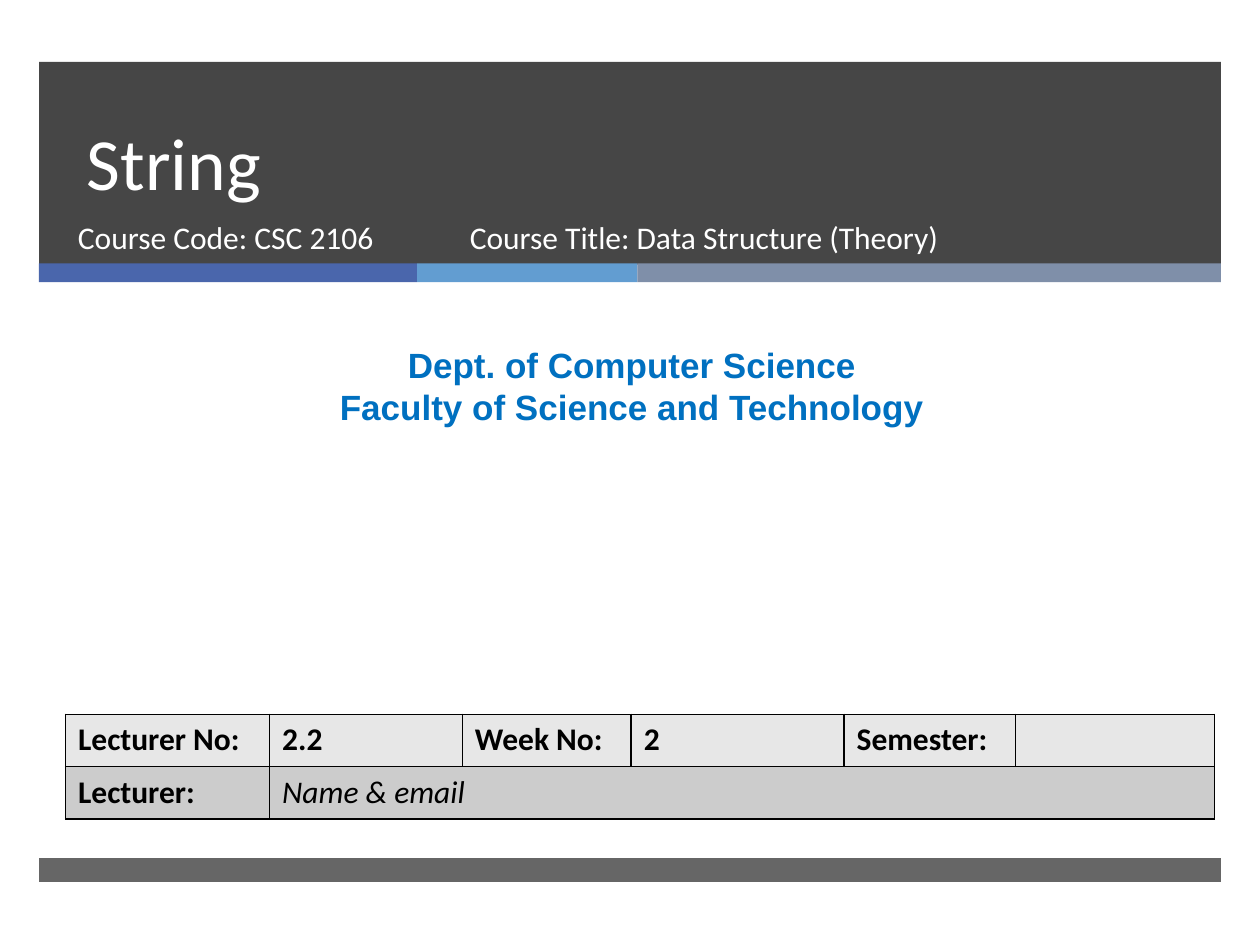
from lxml import etree
from pptx import Presentation
from pptx.dml.color import RGBColor
from pptx.enum.shapes import MSO_SHAPE
from pptx.enum.text import MSO_ANCHOR, PP_ALIGN
from pptx.oxml.ns import qn
from pptx.util import Inches, Pt

RECTANGLE = MSO_SHAPE.RECTANGLE
TOP, BOTTOM = MSO_ANCHOR.TOP, MSO_ANCHOR.BOTTOM
LEFT, CENTER = PP_ALIGN.LEFT, PP_ALIGN.CENTER

WHITE = RGBColor(0xFF, 0xFF, 0xFF)
BLACK = RGBColor(0x00, 0x00, 0x00)
CHARCOAL = RGBColor(0x26, 0x26, 0x26)
INDIGO = RGBColor(0x4A, 0x66, 0xAC)
SKY = RGBColor(0x62, 0x9D, 0xD1)
SLATE = RGBColor(0x7F, 0x8F, 0xA9)
BLUE = RGBColor(0x00, 0x70, 0xC0)
LIGHT_GRAY = RGBColor(0xE7, 0xE7, 0xE7)
MID_GRAY = RGBColor(0xCC, 0xCC, 0xCC)

presentation = Presentation()
presentation.slide_width = Inches(10)
presentation.slide_height = Inches(7.5)
slide = presentation.slides.add_slide(presentation.slide_layouts[6])

# The slide is a grid of 100 columns and 75 rows.
COLUMN = presentation.slide_width // 100
ROW = presentation.slide_height // 75


def grid_box(left, top, width, height):
    """Turn grid columns and rows into slide lengths."""
    return [round(left * COLUMN), round(top * ROW),
            round(width * COLUMN), round(height * ROW)]


def add_styled_run(paragraph, text, font_name, size, color, bold=False, italic=False):
    run = paragraph.add_run()
    run.text = text
    run.font.name = font_name
    run.font.size = Pt(size)
    run.font.color.rgb = color
    run.font.bold = bold
    run.font.italic = italic


# Header band, three accent strips and footer band
BAND_LEFT, BAND_WIDTH = 3.1, 93.8
STRIP_TOP, STRIP_HEIGHT = 20.9, 1.5
bands = [
    (BAND_LEFT, 4.9, BAND_WIDTH, 16.1, CHARCOAL, 85),
    (BAND_LEFT, STRIP_TOP, 30, STRIP_HEIGHT, INDIGO, 100),
    (33.1, STRIP_TOP, 17.5, STRIP_HEIGHT, SKY, 100),
    (50.6, STRIP_TOP, 46.3, STRIP_HEIGHT, SLATE, 100),
    (BAND_LEFT, 68.1, BAND_WIDTH, 1.9, CHARCOAL, 70),
]
for left, top, width, height, color, opacity in bands:
    band = slide.shapes.add_shape(RECTANGLE, *grid_box(left, top, width, height))
    band.shadow.inherit = False
    band.line.fill.background()
    band.fill.solid()
    band.fill.fore_color.rgb = color
    if opacity < 100:
        color_element = band.fill._xPr.find(qn("a:solidFill"))[0]
        etree.SubElement(color_element, qn("a:alpha"), val=str(opacity * 1000))

# Title, course details and department
texts = [
    ((4.6, 4.9, 85.4, 11.9), [" String"], "Calibri", 42, WHITE, False, LEFT, BOTTOM, Pt(46)),
    ((5.2, 16.8, 30.5, 5.3), ["Course Code: CSC 2106"],
     "Calibri", 18, WHITE, False, LEFT, TOP, None),
    ((36.3, 16.8, 45.5, 5.3), ["Course Title: Data Structure (Theory)"],
     "Calibri", 18, WHITE, False, LEFT, TOP, None),
    ((0.8, 26.8, 98.7, 7.7), ["Dept. of Computer Science", "Faculty of Science and Technology"],
     "Arial", 20, BLUE, True, CENTER, TOP, None),
]
for box, lines, font_name, size, color, bold, alignment, anchor, line_spacing in texts:
    text_frame = slide.shapes.add_textbox(*grid_box(*box)).text_frame
    text_frame.word_wrap = True
    text_frame.vertical_anchor = anchor
    for index, line in enumerate(lines):
        paragraph = text_frame.add_paragraph() if index else text_frame.paragraphs[0]
        paragraph.alignment = alignment
        paragraph.line_spacing = line_spacing
        add_styled_run(paragraph, line, font_name, size, color, bold)

# Lecture details
column_widths = [16.2, 15.3, 13.4, 16.9, 13.6, 15.8]
table_rows = [
    (LIGHT_GRAY, ["Lecturer No:", "2.2", "Week No:", "2", "Semester:", ""]),
    (MID_GRAY, ["Lecturer:", "Name & email", "", "", "", ""]),
]
table = slide.shapes.add_table(
    len(table_rows), len(column_widths),
    *grid_box(5.2, 56.7, sum(column_widths), 8.3)).table
for column, width in zip(table.columns, column_widths):
    column.width = round(width * COLUMN)
table.cell(1, 1).merge(table.cell(1, 5))

for row_index, (fill_color, labels) in enumerate(table_rows):
    for column_index, label in enumerate(labels):
        cell = table.cell(row_index, column_index)
        properties = cell._tc.get_or_add_tcPr()
        for side in ("a:lnL", "a:lnR", "a:lnT", "a:lnB"):
            border = etree.SubElement(properties, qn(side), w=str(Pt(1)))
            border_fill = etree.SubElement(border, qn("a:solidFill"))
            etree.SubElement(border_fill, qn("a:srgbClr"), val=str(BLACK))
        cell.fill.solid()
        cell.fill.fore_color.rgb = fill_color
        if label:
            is_lecturer = label == "Name & email"
            add_styled_run(cell.text_frame.paragraphs[0], label, "Calibri", 18, BLACK,
                           bold=not is_lecturer, italic=is_lecturer)

presentation.save("out.pptx")
